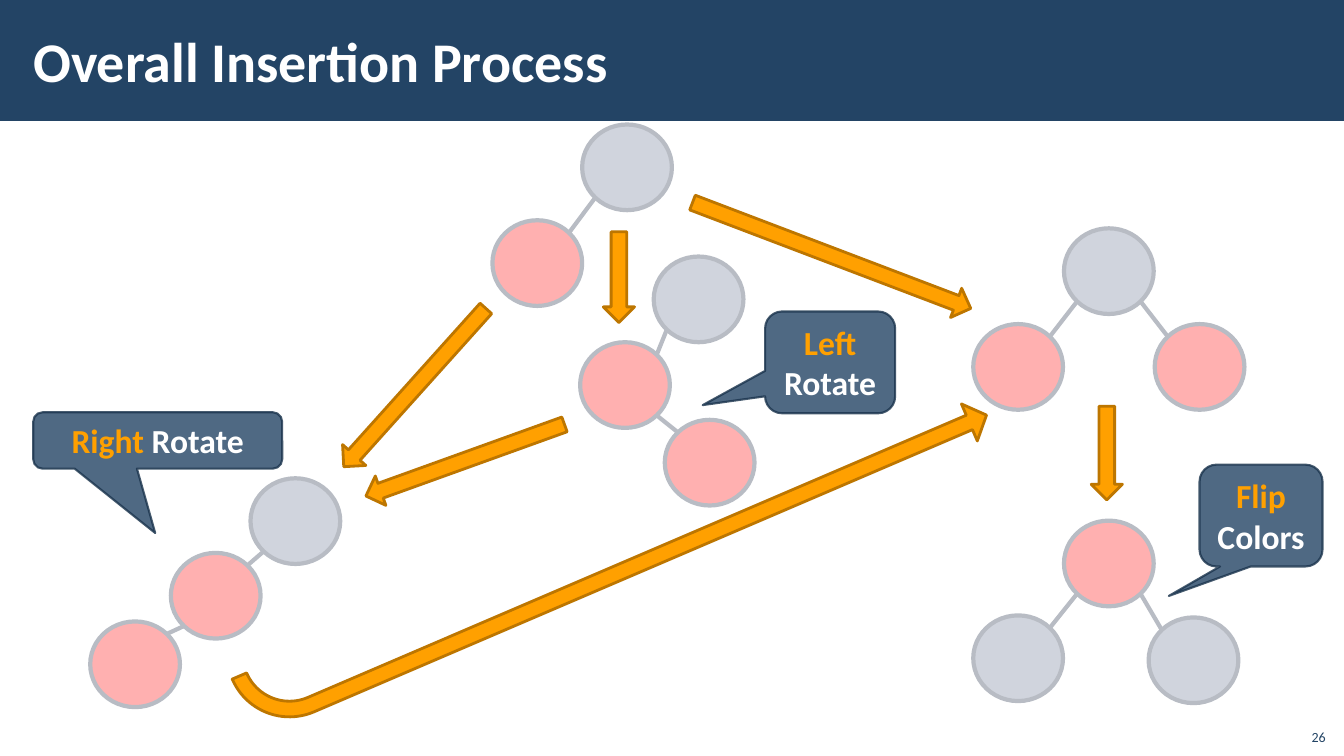
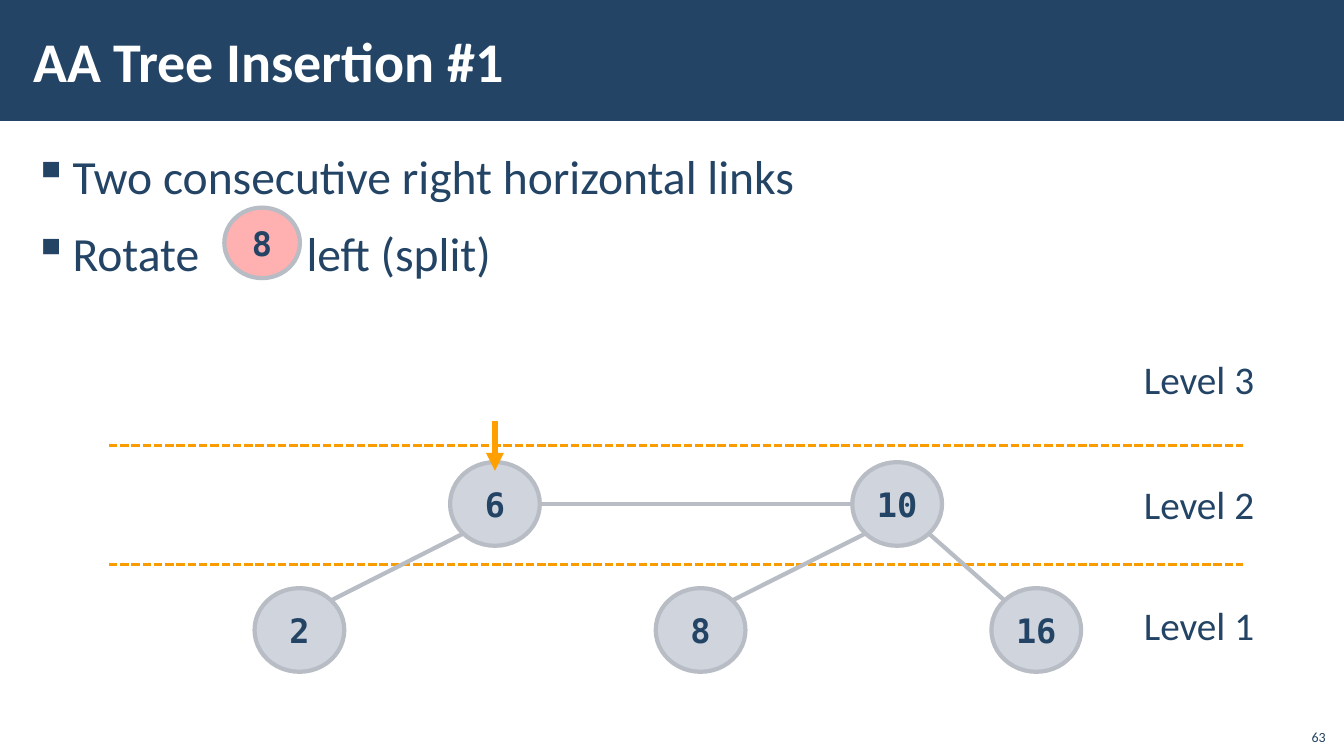
import math
from dataclasses import dataclass

from lxml import etree
from pptx import Presentation
from pptx.dml.color import RGBColor
from pptx.enum.dml import MSO_LINE
from pptx.enum.shapes import MSO_CONNECTOR, MSO_SHAPE
from pptx.enum.text import MSO_ANCHOR, PP_ALIGN
from pptx.oxml.ns import qn
from pptx.util import Inches, Pt

ELLIPSE, RECTANGLE = MSO_SHAPE.OVAL, MSO_SHAPE.RECTANGLE
CALLOUT = MSO_SHAPE.ROUNDED_RECTANGULAR_CALLOUT
RIGHT_ARROW, BENT_ARROW = MSO_SHAPE.RIGHT_ARROW, MSO_SHAPE.BENT_ARROW
STRAIGHT, DASHED = MSO_CONNECTOR.STRAIGHT, MSO_LINE.SQUARE_DOT
TOP, MIDDLE, BOTTOM = MSO_ANCHOR.TOP, MSO_ANCHOR.MIDDLE, MSO_ANCHOR.BOTTOM
LEFT, CENTER, RIGHT = PP_ALIGN.LEFT, PP_ALIGN.CENTER, PP_ALIGN.RIGHT

COLUMNS, ROWS = 133.33, 75  # square grid cells of a tenth of an inch


@dataclass(frozen=True)
class Theme:
    navy: str = "234465"
    navy_edge: str = "1A334C"
    white: str = "FFFFFF"
    orange: str = "FFA000"
    orange_edge: str = "BD7600"
    divider: str = "F99C00"
    red: str = "FFB0B0"
    gray: str = "A3ABBC"
    link: str = "B8BCC4"
    font: str = "Calibri"
    key_font: str = "DejaVu Sans Mono"
    title_size: int = 40
    body_size: int = 34
    level_size: int = 28
    label_size: int = 24
    number_size: int = 10


def cells(count):
    return Inches(count / 10)


def rgb(code):
    return RGBColor.from_string(code)


class Deck:
    def __init__(self, theme):
        self.theme = theme
        self.presentation = Presentation()
        self.presentation.slide_width = cells(COLUMNS)
        self.presentation.slide_height = cells(ROWS)
        self.slide = None

    def new_slide(self, title, number):
        theme = self.theme
        blank = self.presentation.slide_layouts[6]
        self.slide = self.presentation.slides.add_slide(blank)
        self.shape(RECTANGLE, (0, 0, COLUMNS, 12), theme.navy)
        self.text((2.1, 1.1, 106.3, 9.7), [[title]], theme.title_size, theme.white,
                  bold=True, anchor=MIDDLE, insets=(1.2, 0.4))
        self.text((128.5, 71.2, 4, 3.2), [[str(number)]], theme.number_size,
                  theme.navy, align=RIGHT, anchor=BOTTOM)

    def shape(self, preset, box, fill, edge=None, width=0, fill_alpha=100, edge_alpha=100):
        shape = self.slide.shapes.add_shape(preset, *map(cells, box))
        shape.shadow.inherit = False
        shape.fill.solid()
        shape.fill.fore_color.rgb = rgb(fill)
        if edge:
            shape.line.color.rgb = rgb(edge)
            shape.line.width = Pt(width)
        else:
            shape.line.fill.background()
        properties = shape._element.spPr
        for where, alpha in (("a:solidFill", fill_alpha), ("a:ln/a:solidFill", edge_alpha)):
            if alpha < 100:
                parts = [qn(part) for part in where.split("/")]
                color = properties.find("/".join(parts))[0]
                etree.SubElement(color, qn("a:alpha"), val=str(alpha * 1000))
        return shape

    def fill_frame(self, frame, lines, size, color, font=None, bold=False,
                   align=LEFT, anchor=TOP, wrap=True):
        """Fill a frame with lines, each one a list of run texts."""
        frame.word_wrap = wrap
        frame.vertical_anchor = anchor
        for index, pieces in enumerate(lines):
            paragraph = frame.add_paragraph() if index else frame.paragraphs[0]
            paragraph.text = pieces[0]
            for piece in pieces[1:]:
                paragraph.add_run().text = piece
            paragraph.alignment = align
            for run in paragraph.runs:
                run.font.name = font or self.theme.font
                run.font.size = Pt(size)
                run.font.bold = bold
                run.font.color.rgb = rgb(color)

    def text(self, box, lines, size, color, insets=None, **style):
        frame = self.slide.shapes.add_textbox(*map(cells, box)).text_frame
        if insets:
            frame.margin_left = frame.margin_right = cells(insets[0])
            frame.margin_top = frame.margin_bottom = cells(insets[1])
        self.fill_frame(frame, lines, size, color, **style)
        return frame

    def bullets(self, box, lines, gap):
        """List with bullets; a run holding one space is widened by gap points."""
        frame = self.text(box, lines, self.theme.body_size, self.theme.navy,
                          insets=(1.2, 0.4))
        for index, paragraph in enumerate(frame.paragraphs):
            properties = paragraph._p.get_or_add_pPr()
            properties.set("marL", str(cells(3.9)))
            properties.set("indent", str(-cells(3.9)))
            etree.SubElement(properties, qn("a:buChar"), char="▪")
            paragraph.line_spacing = 1.05
            paragraph.space_before = Pt(6 if index else 0)
            paragraph.space_after = Pt(6)
            for run in paragraph.runs:
                if run.text == " ":
                    run._r.get_or_add_rPr().set("spc", str(gap * 100))

    def line(self, start, end, color, width, dash=None, arrow=False):
        connector = self.slide.shapes.add_connector(STRAIGHT, *map(cells, (*start, *end)))
        connector.line.color.rgb = rgb(color)
        connector.line.width = Pt(width)
        if dash:
            connector.line.dash_style = dash
        properties = connector._element.spPr
        if arrow:
            etree.SubElement(properties.find(qn("a:ln")), qn("a:tailEnd"), type="triangle")
        etree.SubElement(properties, qn("a:effectLst"))

    def node(self, center, size, red=False, key=None):
        theme = self.theme
        (x, y), (width, height) = center, size
        circle = self.shape(ELLIPSE, (x - width / 2, y - height / 2, width, height),
                            theme.red if red else theme.gray, theme.link, 3,
                            fill_alpha=100 if red else 50)
        if key:
            self.fill_frame(circle.text_frame, [[key]], theme.label_size, theme.navy,
                            font=theme.key_font, bold=True, align=CENTER,
                            anchor=MIDDLE, wrap=False)

    def link(self, parent, child, size):
        """Join two nodes at their sides if level, else at their diagonals."""
        (x1, y1), (x2, y2) = parent, child
        angle = 0 if y1 == y2 else math.pi / 4
        dx = math.copysign(size[0] / 2 * math.cos(angle), x2 - x1)
        dy = size[1] / 2 * math.sin(angle)
        self.line((x1 + dx, y1 + dy), (x2 - dx, y2 - dy), self.theme.link, 3)

    def tree(self, nodes, links, size):
        """nodes maps a name to (center, red, key)."""
        for center, red, key in nodes.values():
            self.node(center, size, red, key)
        for parent, child in links:
            self.link(nodes[parent][0], nodes[child][0], size)

    def block_arrow(self, start, end, thickness=3.1):
        (x1, y1), (x2, y2) = start, end
        length = math.dist(start, end)
        box = ((x1 + x2 - length) / 2, (y1 + y2 - thickness) / 2, length, thickness)
        arrow = self.shape(RIGHT_ARROW, box, self.theme.orange, self.theme.orange_edge, 2)
        arrow.rotation = math.degrees(math.atan2(y2 - y1, x2 - x1))

    def bent_arrow(self, box, rotation, adjustments):
        arrow = self.shape(BENT_ARROW, box, self.theme.orange, self.theme.orange_edge, 2)
        for index, value in enumerate(adjustments):
            arrow.adjustments[index] = value
        arrow.rotation = rotation
        arrow._element.spPr.find(qn("a:xfrm")).set("flipV", "1")

    def callout(self, box, lines, pointer):
        """Speech bubble whose first run is in the accent colour."""
        theme = self.theme
        bubble = self.shape(CALLOUT, box, theme.navy, theme.navy_edge, 1.5, 80, 80)
        bubble.adjustments[0], bubble.adjustments[1] = pointer
        self.fill_frame(bubble.text_frame, lines, theme.label_size, theme.white,
                        bold=True, align=CENTER, anchor=MIDDLE)
        accent = bubble.text_frame.paragraphs[0].runs[0]
        accent.font.color.rgb = rgb(theme.orange)


def insertion_process(deck):
    deck.new_slide("Overall Insertion Process", 26)
    size = (8.9, 8.5)
    chain = [("top", "mid"), ("mid", "low")]
    fork = [("top", "mid"), ("top", "low")]
    # Each tree: links, then centers and whether the node is red
    trees = [
        ([("top", "mid")], [((62.2, 16.6), False), ((53.3, 26.1), True)]),
        (chain, [((29.3, 51.7), False), ((21.4, 59.1), True), ((13.4, 65.9), True)]),
        (chain, [((69.3, 29.7), False), ((62, 38.2), True), ((70.4, 45.9), True)]),
        (fork, [((110, 26.9), False), ((101, 36.4), True), ((119, 36.4), True)]),
        (fork, [((110, 55.9), True), ((101, 65.3), False), ((118.4, 65.5), False)]),
    ]
    for links, members in trees:
        nodes = {name: (center, red, None)
                 for name, (center, red) in zip(("top", "mid", "low"), members)}
        deck.tree(nodes, links, size)

    for start, end in [
        ((68.7, 20.1), (96.3, 30.6)),
        ((48.2, 30.6), (34.1, 46.3)),
        ((61.4, 23), (61.4, 32)),
        ((56, 42.1), (36.3, 49.2)),
        ((109.8, 40.3), (109.8, 49.6)),
    ]:
        deck.block_arrow(start, end)
    deck.bent_arrow((21.3, 51.5, 79.1, 7.4), 336.8, (0.21, 0.27, 0.25, 0.86))

    deck.callout((3.3, 40.9, 24.7, 5.6), [["Right", " Rotate"]], (-0.01, 1.64))
    deck.callout((75.9, 30.9, 12.9, 10.1), [["Left"], ["Rotate"]], (-0.98, 0.42))
    deck.callout((119, 46.1, 12.2, 10.1), [["Flip"], ["Colors"]], (-0.75, 0.79))


def tree_insertion(deck):
    theme = deck.theme
    deck.new_slide("AA Tree Insertion #1", 63)
    deck.bullets((2.1, 13.9, 129.2, 59.7),
                 [["Two consecutive right horizontal links"],
                  ["Rotate", " ", "left (split)"]], gap=69)
    for row in (56, 44.2):
        deck.line((10.8, row), (123.3, row), theme.divider, 2, dash=DASHED)
    for level, row in enumerate((59.2, 47.2, 34.8), start=1):
        deck.text((112.5, row, 13.1, 5.7), [[f"Level {level}"]], theme.level_size,
                  theme.navy, wrap=False)

    upper, lower = 50, 62.5
    centers = {"6": (49.1, upper), "10": (89, upper),
               "2": (29.7, lower), "8": (69.5, lower), "16": (102.8, lower)}
    nodes = {key: (center, False, key) for key, center in centers.items()}
    deck.tree(nodes, [("6", "2"), ("6", "10"), ("10", "8"), ("10", "16")], (8.9, 8.3))
    deck.line((49.1, 41.8), (49.1, 46.7), theme.orange, 4.25, arrow=True)
    deck.node((26, 24.1), (7.5, 7), red=True, key="8")


def main():
    deck = Deck(Theme())
    insertion_process(deck)
    tree_insertion(deck)
    deck.presentation.save("out.pptx")


if __name__ == "__main__":
    main()
